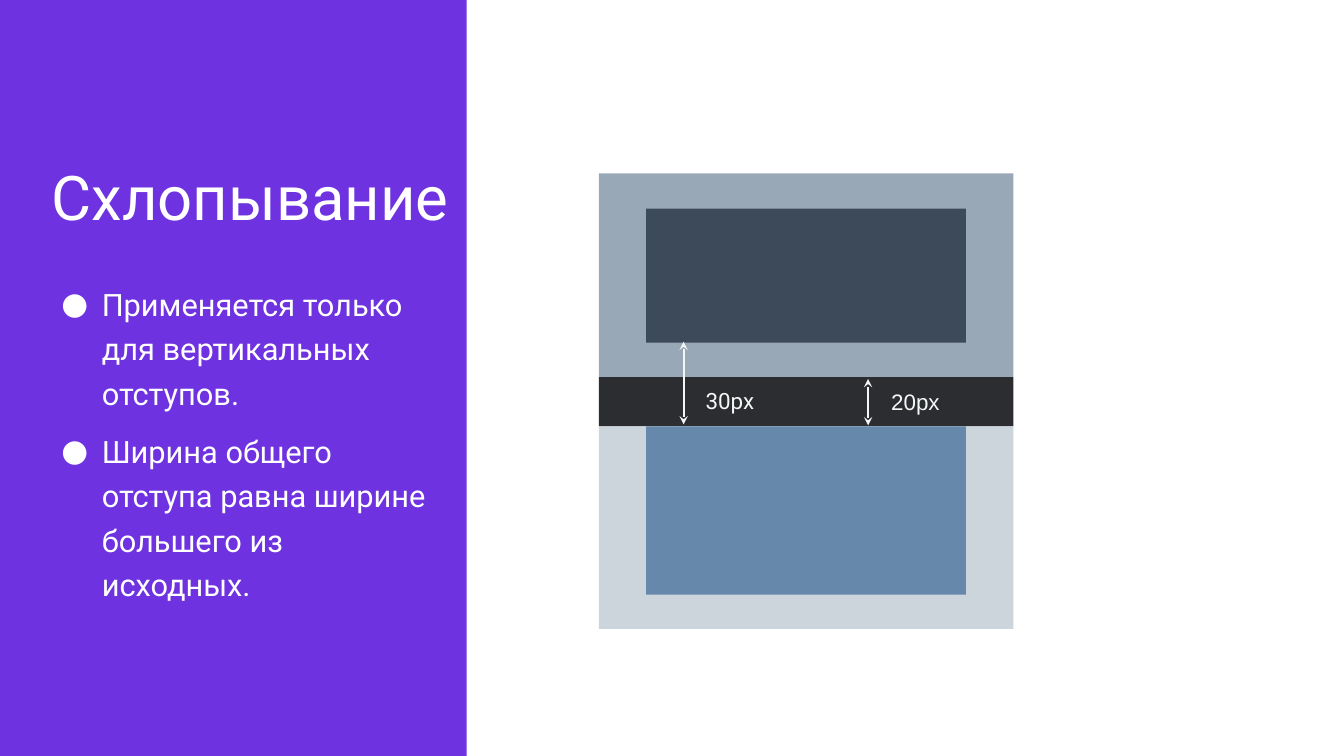
from lxml import etree
from pptx import Presentation
from pptx.dml.color import RGBColor
from pptx.enum import shapes, text
from pptx.oxml import ns
from pptx.util import Inches, Pt

WHITE = "FFFFFF"
PALE = "F3F7F5"


def rgb(value):
    return RGBColor.from_string(value)


def place(sp, left, top, width, height):
    sp.left, sp.top = Inches(left), Inches(top)
    sp.width, sp.height = Inches(width), Inches(height)


def add_xml(parent, tag, **attributes):
    return etree.SubElement(parent, ns.qn(tag), attributes)


def format_text(tf, size, color, font="Roboto"):
    for p in tf.paragraphs:
        for r in p.runs:
            r.font.size = Pt(size)
            r.font.name = font
            r.font.color.rgb = rgb(color)


def set_frame(tf, anchor, margin_y):
    tf.word_wrap = True
    tf.auto_size = text.MSO_AUTO_SIZE.NONE
    tf.vertical_anchor = anchor
    tf.margin_left = tf.margin_right = Inches(0.1)
    tf.margin_top = tf.margin_bottom = Inches(margin_y)


def add_rect(slide, left, top, width, height, color):
    sp = slide.shapes.add_shape(
        shapes.MSO_SHAPE.RECTANGLE,
        Inches(left), Inches(top), Inches(width), Inches(height))
    sp.shadow.inherit = False
    sp.fill.solid()
    sp.fill.fore_color.rgb = rgb(color)
    sp.line.fill.background()
    return sp


def add_arrow(slide, x, top, bottom):
    arrow = slide.shapes.add_connector(
        shapes.MSO_CONNECTOR.STRAIGHT,
        Inches(x), Inches(top), Inches(x), Inches(bottom))
    arrow.line.color.rgb = rgb(PALE)
    arrow.line.width = Pt(1.5)
    ln = arrow.line._get_or_add_ln()
    for end in ("a:headEnd", "a:tailEnd"):
        add_xml(ln, end, type="stealth")
    add_xml(arrow._element.spPr, "a:effectLst")


def add_label(slide, label, left, top, width, anchor, font):
    sp = slide.shapes.add_textbox(
        Inches(left), Inches(top), Inches(width), Inches(0.47))
    tf = sp.text_frame
    set_frame(tf, anchor, 0.1)
    tf.text = label
    format_text(tf, 16, PALE, font)


def fill_title(sp, title):
    place(sp, 0.41, 0.21, 4.18, 2.16)
    tf = sp.text_frame
    set_frame(tf, text.MSO_ANCHOR.BOTTOM, 0.05)
    tf.text = title
    p = tf.paragraphs[0]
    p.alignment = text.PP_ALIGN.LEFT
    p.line_spacing = 0.9
    format_text(tf, 44, WHITE)


def fill_bullets(sp, items):
    place(sp, 0.41, 2.59, 4, 3.56)
    tf = sp.text_frame
    set_frame(tf, text.MSO_ANCHOR.MIDDLE, 0.05)
    tf.text = "\n".join(items)
    for i, p in enumerate(tf.paragraphs):
        p.line_spacing = 1.2
        p.space_before = Pt(10 if i else 0)
        pPr = p._p.get_or_add_pPr()
        pPr.set("marL", str(Inches(0.5)))
        pPr.set("indent", str(Inches(-0.4)))
        add_xml(add_xml(pPr, "a:buClr"), "a:srgbClr", val=WHITE)
        add_xml(pPr, "a:buFont", typeface="Roboto")
        add_xml(pPr, "a:buChar", char="●")
    format_text(tf, 22, WHITE)


def add_margin_diagram(slide):
    # Upper block, shared margin, lower block
    outer_x, outer_w = 5.94, 4.11
    inner_x, inner_w = 6.41, 3.17
    add_rect(slide, outer_x, 1.72, outer_w, 2.02, "99A8B7")
    add_rect(slide, inner_x, 2.07, inner_w, 1.33, "3C4A5A")
    add_rect(slide, outer_x, 3.74, outer_w, 0.49, "2C2D30")
    add_rect(slide, outer_x, 4.23, outer_w, 2.01, "CCD4DC")
    add_rect(slide, inner_x, 4.23, inner_w, 1.67, "6588AB")

    # Margin sizes
    add_arrow(slide, 6.78, 3.39, 4.21)
    add_arrow(slide, 8.61, 3.76, 4.22)
    add_label(slide, "30px", 6.9, 3.74, 1.01, text.MSO_ANCHOR.BOTTOM, "Roboto")
    add_label(slide, "20px", 8.74, 3.75, 0.88, text.MSO_ANCHOR.TOP, "Arial")


def main():
    prs = Presentation()
    prs.slide_width, prs.slide_height = Inches(13.33), Inches(7.5)
    slide = prs.slides.add_slide(prs.slide_layouts[1])

    # Side panel, sent behind the placeholders
    panel = add_rect(slide, 0, 0, 4.63, 7.5, "6E32E0")
    slide.shapes._spTree.insert(2, panel._element)

    # Title and list
    fill_title(slide.shapes.title, "Схлопывание")
    fill_bullets(slide.placeholders[1], [
        "Применяется только для вертикальных отступов.",
        "Ширина общего отступа равна ширине большего из исходных.",
    ])

    add_margin_diagram(slide)
    prs.save("out.pptx")


if __name__ == "__main__":
    main()
